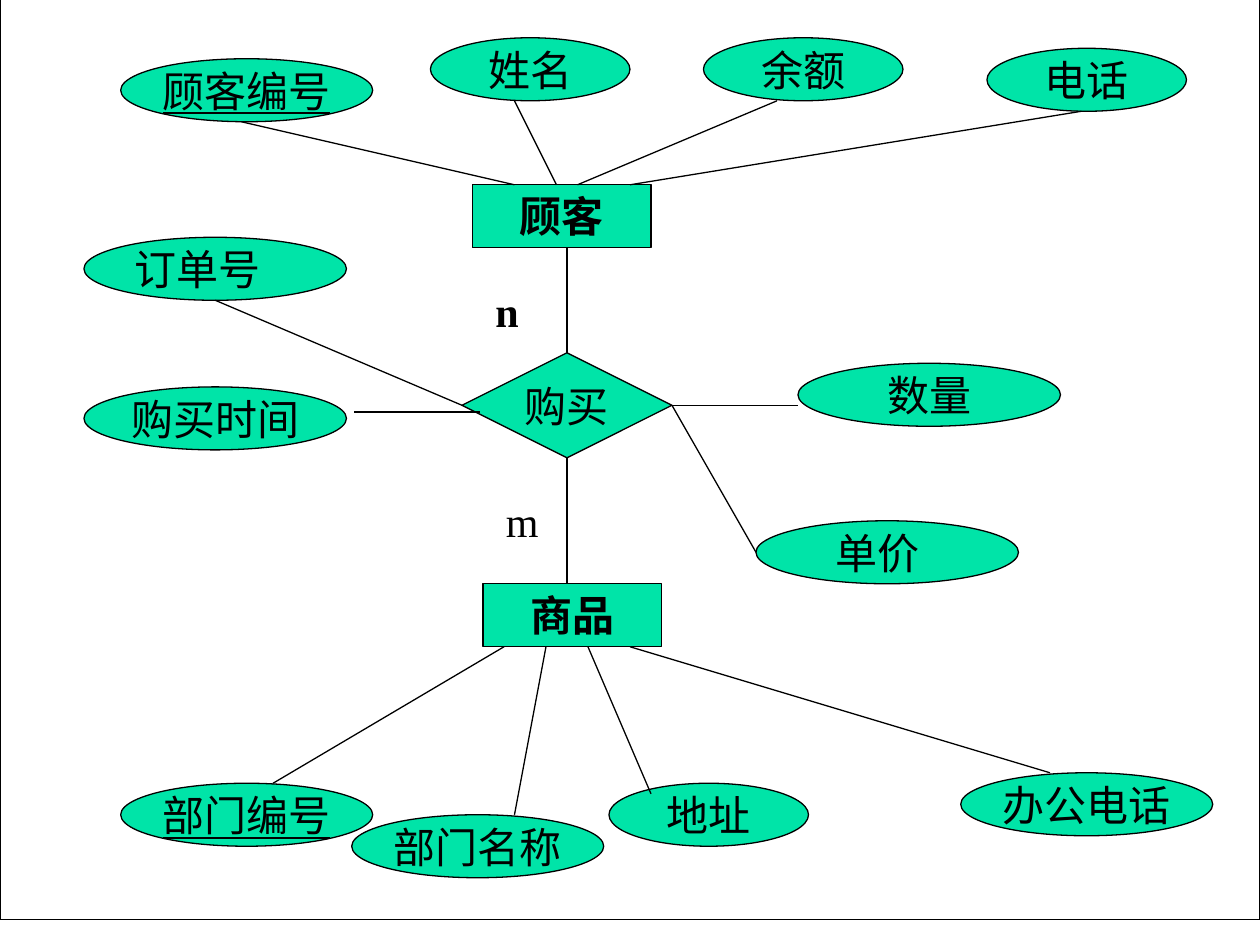
from dataclasses import dataclass
from typing import Optional

from lxml.etree import SubElement
from pptx import Presentation
from pptx.dml.color import RGBColor
from pptx.enum.shapes import MSO_CONNECTOR as Wire, MSO_SHAPE as Form
from pptx.enum.text import MSO_ANCHOR as Anchor, PP_ALIGN as Align
from pptx.oxml.ns import qn
from pptx.util import Inches, Length, Pt


@dataclass(frozen=True)
class Theme:
    ink: RGBColor = RGBColor.from_string("000000")
    paper: RGBColor = RGBColor.from_string("FFFFFF")
    green: RGBColor = RGBColor.from_string("00E4A8")
    size: Length = Pt(24)
    line: Length = Pt(0.75)
    serif: str = "Times New Roman"
    sans: str = "Cabin"


THEME = Theme()
CELL = 1 / 12   # grid step in inches
TOP = -0.2      # the page starts a little above the slide


@dataclass(frozen=True)
class Node:
    text: str
    col: float
    row: float
    wide: float = 19
    high: float = 6
    form: Optional[Form] = Form.OVAL
    font: str = THEME.sans
    bold: bool = False
    key: bool = False
    wrap: bool = False
    left: bool = False
    top: bool = False
    indent: float = 0


@dataclass(frozen=True)
class Link:
    col: float
    row: float
    to_col: float
    to_row: float


def across(col: float) -> Length:
    return Inches(col * CELL)


def down(row: float) -> Length:
    return Inches(TOP + row * CELL)


def write(shape, text: str, *, font: str, bold: bool, key: bool, wrap: bool,
          align: Align, anchor: Anchor, indent: float) -> None:
    frame = shape.text_frame
    frame.word_wrap = wrap
    frame.vertical_anchor = anchor
    para = frame.paragraphs[0]
    para.alignment = align
    if indent:
        para._p.get_or_add_pPr().set("marL", str(Inches(indent)))
    run = para.add_run()
    run.text = text
    run.font.name, run.font.size = font, THEME.size
    run.font.bold, run.font.underline = bold, key
    run.font.color.rgb = THEME.ink


def paint(shape, fill: RGBColor) -> None:
    shape.shadow.inherit = False
    shape.fill.solid()
    shape.fill.fore_color.rgb = fill
    shape.line.color.rgb = THEME.ink
    shape.line.width = THEME.line


def draw(shapes, node: Node) -> None:
    area = (across(node.col), down(node.row), across(node.wide), across(node.high))
    if node.form is None:
        shape = shapes.add_textbox(*area)
    else:
        shape = shapes.add_shape(node.form, *area)
        paint(shape, THEME.green)
    write(shape, node.text, font=node.font, bold=node.bold, key=node.key,
          wrap=node.wrap, indent=node.indent,
          align=Align.LEFT if node.left else Align.CENTER,
          anchor=Anchor.TOP if node.top else Anchor.MIDDLE)


def join(shapes, link: Link) -> None:
    wire = shapes.add_connector(Wire.STRAIGHT, across(link.col), down(link.row),
                                across(link.to_col), down(link.to_row))
    wire.line.color.rgb = THEME.ink
    wire.line.width = THEME.line
    SubElement(wire._element.spPr, qn("a:effectLst"))


def entity(text: str, col: float, row: float) -> Node:
    return Node(text, col, row, 17, 6, Form.RECTANGLE, THEME.serif,
                bold=True, wrap=True, top=True)


def count(text: str, col: float, row: float, bold: bool) -> Node:
    return Node(text, col, row, 5, 6, None, THEME.serif,
                bold=bold, wrap=True, left=True, top=True)


def long(text: str, col: float, row: float, key: bool = False) -> Node:
    """An oval wide enough for four characters and their underline."""
    return Node(text, col, row, 24, key=key)


# Entities, their relation and the counts
CORE = [
    entity("顾客", 45, 20),
    Node("购买", 44, 36, 20, 10, Form.DIAMOND, THEME.serif),
    entity("商品", 46, 58),
    count("n", 46, 29, True),
    count("m", 47, 49, False),
]
SPINE = [Link(54, 36, 54, 26), Link(54, 46, 54, 58)]

# Attributes of customer, goods and purchase
TRAITS = [
    long("顾客编号", 11.5, 8, key=True),
    Node("姓名", 41, 6),
    Node("余额", 67, 6),
    Node("电话", 94, 7),
    long("部门编号", 11.5, 77, key=True),
    long("办公电话", 91.5, 76),
    Node("地址", 58, 77),
    long("部门名称", 33.5, 80),
    Node("数量", 76, 37, 25),
    Node("购买时间", 8, 39.25, 25),
    Node("单价", 72, 52, 25, left=True, indent=0.23),
    Node("订单号", 8, 25, 25, left=True),
]
LINKS = [
    Link(23, 14, 49, 20), Link(49, 12, 53, 20),
    Link(74, 12, 55, 20), Link(103, 13, 60, 20),
    Link(48, 64, 26, 77), Link(52, 64, 49, 80),
    Link(56, 64, 62, 78), Link(60, 64, 100, 76),
    Link(64, 41, 76, 41), Link(33.75, 41.65, 45.75, 41.65),
    Link(64, 41, 72, 55), Link(20.5, 31, 44, 41),
]


def main() -> None:
    deck = Presentation()
    deck.slide_width, deck.slide_height = Inches(10), Inches(7.5)
    shapes = deck.slides.add_slide(deck.slide_layouts[6]).shapes

    # Page frame
    page = shapes.add_shape(Form.RECTANGLE, 0, down(0), across(120), across(90))
    paint(page, THEME.paper)

    # Core group first, then the attributes around it
    core = shapes.add_group_shape().shapes
    for target, nodes, links in ((core, CORE, SPINE), (shapes, TRAITS, LINKS)):
        for node in nodes:
            draw(target, node)
        for link in links:
            join(target, link)

    deck.save("out.pptx")


if __name__ == "__main__":
    main()
